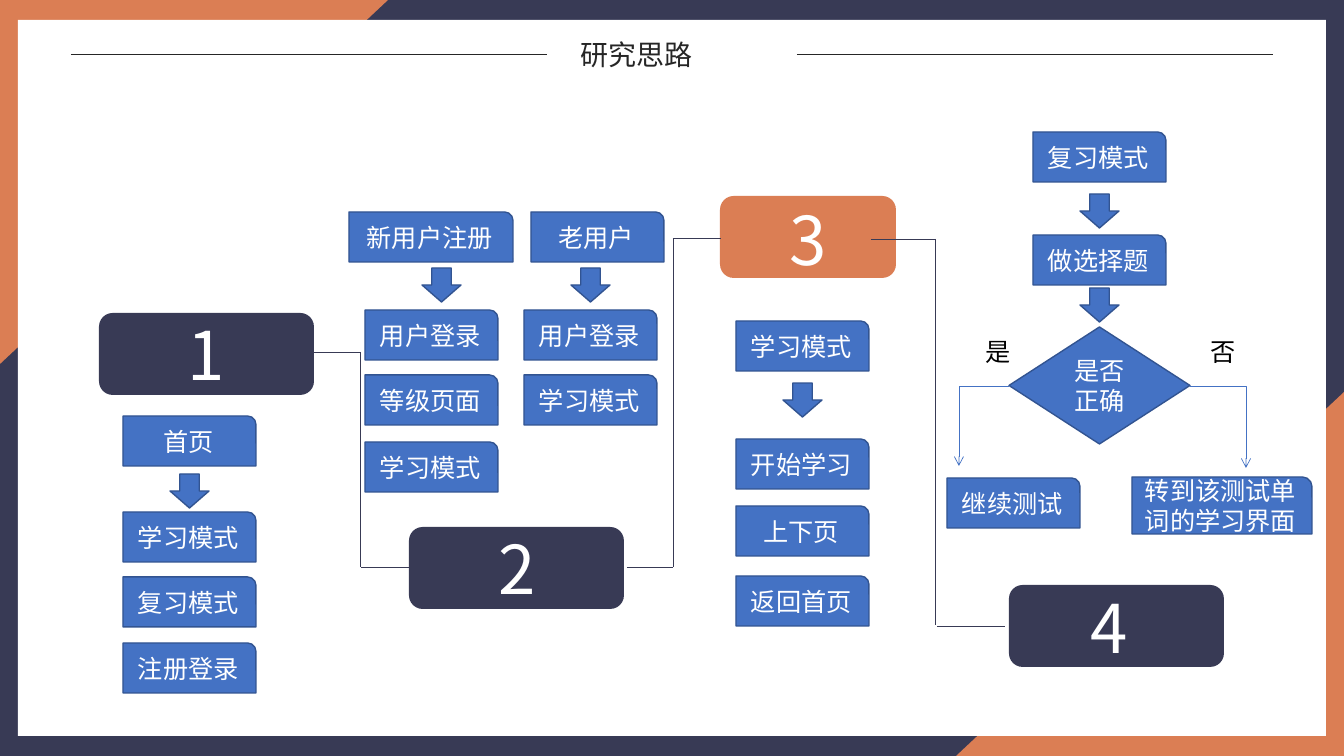
"""Build the research outline slide: four numbered stages with their flow steps."""
from dataclasses import dataclass

from lxml import etree
from pptx import Presentation
from pptx.dml.color import RGBColor
from pptx.enum.shapes import MSO_CONNECTOR, MSO_SHAPE
from pptx.enum.text import MSO_ANCHOR, MSO_AUTO_SIZE, PP_ALIGN
from pptx.oxml.ns import qn
from pptx.util import Emu, Pt

SLIDE_W, SLIDE_H = 1344, 756
EMU_PER_PX = 12192000 / SLIDE_W
FONT = "Noto Sans CJK SC"

NAVY = RGBColor(0x38, 0x3A, 0x55)
ORANGE = RGBColor(0xDB, 0x7E, 0x54)
WHITE = RGBColor(0xFF, 0xFF, 0xFF)
BLACK = RGBColor(0x00, 0x00, 0x00)
INK = RGBColor(0x26, 0x26, 0x26)
BLUE = RGBColor(0x44, 0x72, 0xC4)
BLUE_EDGE = RGBColor(0x32, 0x54, 0x91)

RECT, ROUND_RECT = MSO_SHAPE.RECTANGLE, MSO_SHAPE.ROUNDED_RECTANGLE
TRIANGLE, STEP_BOX = MSO_SHAPE.RIGHT_TRIANGLE, MSO_SHAPE.ROUND_1_RECTANGLE
DIAMOND, DOWN_ARROW = MSO_SHAPE.DIAMOND, MSO_SHAPE.DOWN_ARROW
STRAIGHT, ELBOW = MSO_CONNECTOR.STRAIGHT, MSO_CONNECTOR.ELBOW
LEFT, CENTER, JUSTIFY = PP_ALIGN.LEFT, PP_ALIGN.CENTER, PP_ALIGN.JUSTIFY
MIDDLE, GROW = MSO_ANCHOR.MIDDLE, MSO_AUTO_SIZE.SHAPE_TO_FIT_TEXT


@dataclass(frozen=True)
class Badge:
    """A numbered stage with the place of its digit."""
    number: str
    x: int
    y: int
    digit_x: int
    digit_y: int
    w: int = 215
    fill: RGBColor = NAVY


@dataclass(frozen=True)
class Step:
    """A labelled box of the flow."""
    text: str
    x: int
    y: int
    w: int = 133
    h: int = 50


@dataclass(frozen=True)
class Column:
    """Equal step boxes stacked at one left edge."""
    x: int
    steps: dict[int, str]


BADGES = (
    Badge("1", 99, 313, 151, 308),
    Badge("2", 409, 527, 462, 522),
    Badge("3", 720, 196, 753, 193, w=176, fill=ORANGE),
    Badge("4", 1009, 585, 1054, 581),
)
COLUMNS = (
    Column(123, {416: "首页", 512: "学习模式", 577: "复习模式", 643: "注册登录"}),
    Column(365, {310: "用户登录", 375: "等级页面", 442: "学习模式"}),
    Column(524, {310: "用户登录", 375: "学习模式"}),
    Column(736, {321: "学习模式", 439: "开始学习", 506: "上下页", 576: "返回首页"}),
    Column(1033, {132: "复习模式", 235: "做选择题"}),
)
SINGLE_STEPS = (
    Step("新用户注册", 349, 212, w=164),
    Step("老用户", 531, 212),
    Step("继续测试", 947, 478),
    Step("转到该测试单词的学习界面", 1132, 477, w=180, h=57),
)
ARROWS = ((170, 474), (422, 268), (571, 268), (783, 383), (1080, 194), (1080, 288))
TITLE_RULES = ((71, 54, 547, 54), (797, 54, 1273, 54))
STAGE_LINKS = (
    (314, 352, 360, 352), (360, 352, 360, 567), (361, 567, 409, 567),
    (627, 567, 673, 567), (673, 567, 673, 239), (673, 238, 721, 238),
    (871, 239, 935, 239), (935, 239, 935, 625), (937, 626, 1005, 626),
)
BRANCHES = ((1009, 386, 959, 466), (1190, 386, 1246, 468))
ANSWERS = (("是", 976), ("否", 1201))


def px(n: int) -> Emu:
    """Turn pixels into EMU."""
    return Emu(round(n * EMU_PER_PX))


def write(tf, text: str, *, size: int = 18, color: RGBColor = WHITE, align=CENTER) -> None:
    """Put one formatted run into a text frame."""
    tf.word_wrap = True
    p = tf.paragraphs[0]
    p.alignment = align
    r = p.add_run()
    r.text = text
    r.font.name = FONT
    r.font.size = Pt(size)
    r.font.color.rgb = color
    etree.SubElement(r.font._element, qn("a:ea")).set("typeface", FONT)


def add_box(s, kind, x: int, y: int, w: int, h: int, fill: RGBColor, edge: RGBColor | None = None):
    """Add a flat preset shape."""
    sp = s.shapes.add_shape(kind, px(x), px(y), px(w), px(h))
    sp.shadow.inherit = False
    sp.fill.solid()
    sp.fill.fore_color.rgb = fill
    if edge is None:
        sp.line.fill.background()
    else:
        sp.line.color.rgb = edge
        sp.line.width = Pt(1)
    return sp


def add_text(s, text: str, x: int, y: int, w: int, h: int, **style) -> None:
    """Add a text box that grows with its text."""
    tf = s.shapes.add_textbox(px(x), px(y), px(w), px(h)).text_frame
    tf.auto_size = GROW
    write(tf, text, **style)


def add_line(s, ends: tuple[int, int, int, int], color: RGBColor, kind=STRAIGHT):
    """Add a thin connector without shadow."""
    cxn = s.shapes.add_connector(kind, *map(px, ends))
    cxn.line.color.rgb = color
    cxn.line.width = Pt(0.5)
    etree.SubElement(cxn._element.spPr, qn("a:effectLst"))
    return cxn


def add_branch(s, ends: tuple[int, int, int, int]) -> None:
    """Add a one-bend connector with an open arrowhead."""
    cxn = add_line(s, ends, BLUE, ELBOW)
    cxn._element.spPr.find(qn("a:prstGeom")).set("prst", "bentConnector2")
    etree.SubElement(cxn.line._get_or_add_ln(), qn("a:tailEnd")).set("type", "arrow")


def add_badge(s, badge: Badge) -> None:
    """Add a stage plate and its digit."""
    add_box(s, ROUND_RECT, badge.x, badge.y, badge.w, 82, badge.fill)
    add_text(s, badge.number, badge.digit_x, badge.digit_y, 111, 92, size=48)


def add_step(s, step: Step, kind=STEP_BOX) -> None:
    """Add a blue flow box with its label."""
    sp = add_box(s, kind, step.x, step.y, step.w, step.h, BLUE, BLUE_EDGE)
    sp.text_frame.vertical_anchor = MIDDLE
    write(sp.text_frame, step.text)


def add_frame(s) -> None:
    """Add the two-colour border around the white page."""
    s.background.fill.solid()
    s.background.fill.fore_color.rgb = NAVY
    for x, y, turn in ((12, -12, 90), (968, 380, 270)):
        add_box(s, TRIANGLE, x, y, 364, 388, ORANGE).rotation = turn
    add_box(s, RECT, 18, 20, 1308, 716, WHITE)


def main() -> None:
    """Build and save the slide."""
    prs = Presentation()
    prs.slide_width, prs.slide_height = px(SLIDE_W), px(SLIDE_H)
    s = prs.slides.add_slide(prs.slide_layouts[6])
    add_frame(s)
    add_text(s, "研究思路", 571, 33, 204, 44, size=20, color=INK, align=JUSTIFY)
    for ends in TITLE_RULES:
        add_line(s, ends, INK)
    for badge in BADGES:
        add_badge(s, badge)
    for ends in STAGE_LINKS:
        add_line(s, ends, NAVY)
    for column in COLUMNS:
        for y, text in column.steps.items():
            add_step(s, Step(text, column.x, y))
    for step in SINGLE_STEPS:
        add_step(s, step)
    add_step(s, Step("是否正确", 1009, 327, w=181, h=117), DIAMOND)
    for x, y in ARROWS:
        add_box(s, DOWN_ARROW, x, y, 39, 34, BLUE, BLUE_EDGE)
    for ends in BRANCHES:
        add_branch(s, ends)
    for text, x in ANSWERS:
        add_text(s, text, x, 331, 33, 40, color=BLACK, align=LEFT)
    prs.save("out.pptx")


if __name__ == "__main__":
    main()
